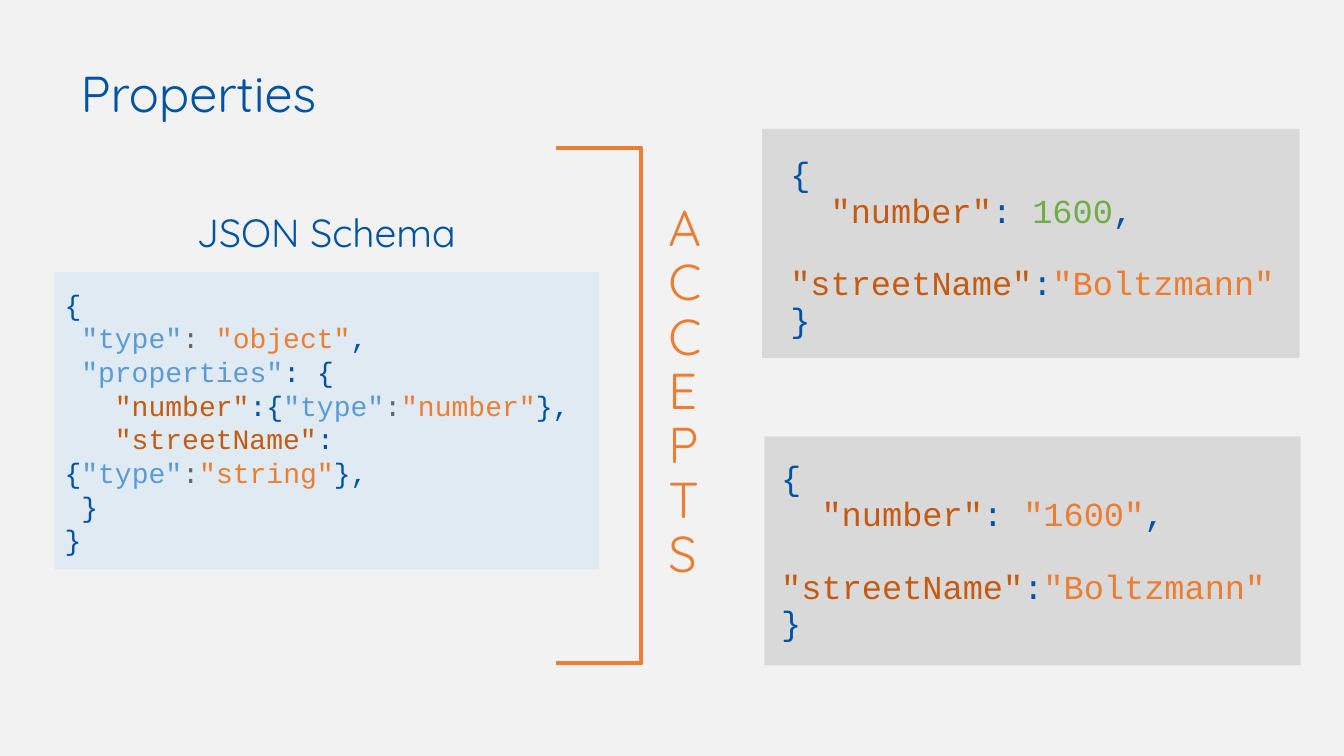
from dataclasses import dataclass

from pptx import Presentation
from pptx.dml.color import RGBColor as Rgb
from pptx.enum.shapes import MSO_SHAPE as Kind
from pptx.enum.text import MSO_ANCHOR as Anchor, MSO_AUTO_SIZE as Fit, PP_ALIGN as Align
from pptx.util import Inches, Pt

BLUE, SKY, GREY = "0052A5", "5B9BD5", "666666"
ORANGE, RUST, GREEN = "ED7D31", "C55A11", "70AD47"
SANS, MONO = "Quicksand", "Courier New"


@dataclass
class Box:
    left: float
    top: float
    width: float
    height: float

    def place(self) -> list:
        return [Inches(n) for n in (self.left, self.top, self.width, self.height)]


@dataclass
class Line:
    runs: list[tuple[str, str]]
    indent: int = 0
    gap: float = 0


@dataclass
class Block:
    box: Box
    lines: list[Line]
    size: int
    font: str = MONO
    lead: float = 0.9
    align: Align = Align.LEFT
    inset: float = 0.1


def paint(hue: str) -> Rgb:
    return Rgb.from_string(hue)


def panel(slide, box: Box, hue: str) -> None:
    shape = slide.shapes.add_shape(Kind.RECTANGLE, *box.place())
    shape.shadow.inherit = False
    shape.fill.solid()
    shape.fill.fore_color.rgb = paint(hue)
    shape.line.fill.background()


def bracket(slide, box: Box) -> None:
    shape = slide.shapes.add_shape(Kind.RIGHT_BRACKET, *box.place())
    shape.adjustments[0] = 0
    shape.shadow.inherit = False
    shape.fill.background()
    shape.line.color.rgb = paint(ORANGE)
    shape.line.width = Pt(3)


def write(shape, block: Block) -> None:
    shape.left, shape.top, shape.width, shape.height = block.box.place()
    frame = shape.text_frame
    frame.word_wrap = True
    frame.auto_size = Fit.NONE
    frame.vertical_anchor = Anchor.MIDDLE
    frame.margin_left = frame.margin_right = Inches(block.inset)
    for at, line in enumerate(block.lines):
        para = frame.add_paragraph() if at else frame.paragraphs[0]
        para.alignment = block.align
        para.line_spacing = block.lead
        para.space_before = Pt(line.gap)
        if line.indent:
            step = Pt(line.indent * block.size * 0.6)
            props = para._p.get_or_add_pPr()
            props.set("marL", "0")
            props.set("indent", str(step))
        for hue, text in line.runs:
            run = para.add_run()
            run.text = text
            run.font.name = block.font
            run.font.size = Pt(block.size)
            run.font.color.rgb = paint(hue)


def label(text: str, hue: str = BLUE) -> list[Line]:
    return [Line([(hue, text)])]


def sample(hue: str, value: str) -> list[Line]:
    return [
        Line([(BLUE, "{")]),
        Line([(RUST, '"number"'), (BLUE, ": "), (hue, value), (BLUE, ",")], 2),
        Line([(RUST, '"streetName"'), (BLUE, ":"), (ORANGE, '"Boltzmann"')], gap=26),
        Line([(BLUE, "}")]),
    ]


def field(name: str, kind: str) -> Line:
    return Line([(RUST, f'"{name}"'), (BLUE, ":{"), (SKY, '"type"'),
                 (GREY, ":"), (ORANGE, f'"{kind}"'), (BLUE, "},")], 3)


SCHEMA = [
    Line([(BLUE, "{")]),
    Line([(SKY, '"type"'), (GREY, ": "), (ORANGE, '"object"'), (BLUE, ",")], 1),
    Line([(SKY, '"properties"'), (BLUE, ": {")], 1),
    field("number", "number"),
    field("streetName", "string"),
    Line([(BLUE, "}")], 1),
    Line([(BLUE, "}")]),
]

PANELS = [
    (Box(7.56, 1.28, 5.33, 2.27), "D9D9D9"),
    (Box(7.58, 4.33, 5.32, 2.27), "D9D9D9"),
    (Box(0.54, 2.7, 5.4, 2.95), "DFEAF3"),
]

TITLE = Block(Box(0.7, 0.23, 6.31, 1.45), label("Properties"), 36, SANS)

BLOCKS = [
    Block(Box(1.79, 1.97, 2.89, 0.71), label("JSON Schema"), 28, SANS, align=Align.CENTER),
    Block(Box(6.53, 0.94, 0.55, 5.92), label("ACCEPTS", ORANGE), 36, SANS),
    Block(Box(0.64, 2.97, 5.4, 2.43), SCHEMA, 20, lead=1, inset=0),
    Block(Box(7.74, 1.39, 5.16, 2.15), sample(GREEN, "1600"), 24),
    Block(Box(7.65, 4.4, 5.02, 2.15), sample(ORANGE, '"1600"'), 24),
]


def main() -> None:
    deck = Presentation()
    deck.slide_width, deck.slide_height = Inches(13.33), Inches(7.5)
    slide = deck.slides.add_slide(deck.slide_layouts[5])
    slide.background.fill.solid()
    slide.background.fill.fore_color.rgb = paint("F2F2F2")
    bracket(slide, Box(5.51, 1.47, 0.85, 5.11))
    for box, hue in PANELS:
        panel(slide, box, hue)
    write(slide.shapes.title, TITLE)
    for block in BLOCKS:
        write(slide.shapes.add_textbox(*block.box.place()), block)
    deck.save("out.pptx")


if __name__ == "__main__":
    main()
